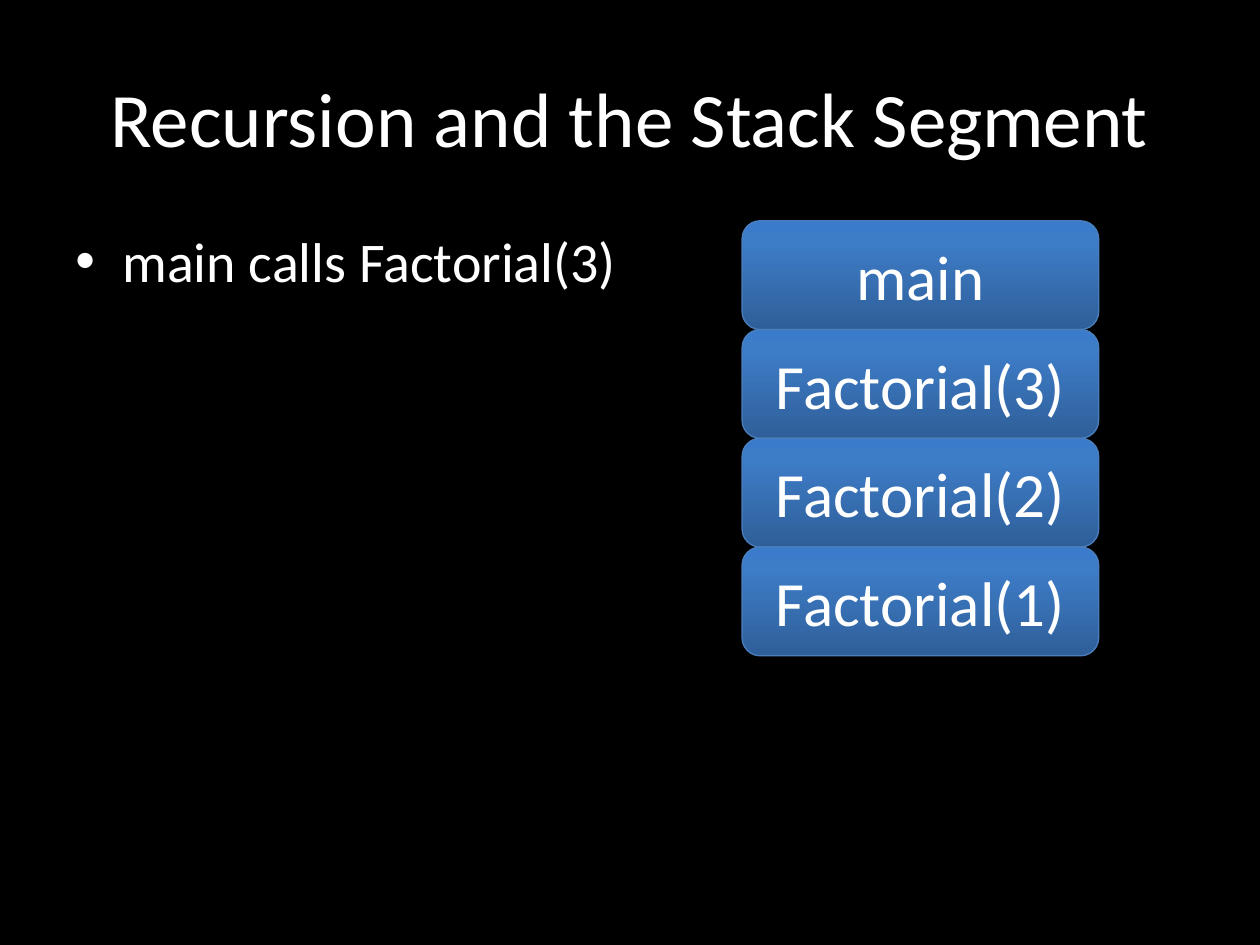
from copy import deepcopy
from dataclasses import dataclass

from lxml.etree import SubElement
from pptx import Presentation
from pptx.dml.color import RGBColor as Rgb
from pptx.enum.shapes import MSO_SHAPE as Shape
from pptx.enum.text import MSO_ANCHOR as Anchor, PP_ALIGN as Align
from pptx.oxml.ns import qn
from pptx.util import Cm, Pt


@dataclass(frozen=True)
class Theme:
    """Colours, font and type sizes of the slide."""
    background: Rgb = Rgb(0x00, 0x00, 0x00)
    text: Rgb = Rgb(0xFF, 0xFF, 0xFF)
    outline: Rgb = Rgb(0x4B, 0x7E, 0xBC)
    gradient: tuple = (
        (0, Rgb(0x2F, 0x5F, 0x99)),
        (0.8, Rgb(0x3D, 0x7C, 0xC7)),
        (1, Rgb(0x3A, 0x7C, 0xCB)),
    )
    font: str = "Calibri"
    title_size: int = 44
    body_size: int = 32
    frame_size: int = 36


THEME = Theme()


def write(holder, text, *, size, align=Align.LEFT, anchor=Anchor.TOP, bullet=None):
    """Put one formatted paragraph into a shape."""
    frame = holder.text_frame
    frame.word_wrap = True
    frame.vertical_anchor = anchor
    paragraph = frame.paragraphs[0]
    paragraph.text = text
    paragraph.alignment = align
    if bullet:
        properties = paragraph._p.get_or_add_pPr()
        indent = Cm(0.95)
        properties.set("marL", str(indent))
        properties.set("indent", str(-indent))
        SubElement(properties, qn("a:buFont"), typeface="Arial")
        SubElement(properties, qn("a:buChar"), char=bullet)
    paragraph.font.name = THEME.font
    paragraph.font.size = Pt(size)
    paragraph.font.color.rgb = THEME.text


def shade(fill):
    """Fill with the theme gradient, running from bottom to top."""
    fill.gradient()
    fill.gradient_angle = 90
    first_stop = fill.gradient_stops[0]._gs
    first_stop.addnext(deepcopy(first_stop))
    for stop, (position, color) in zip(fill.gradient_stops, THEME.gradient):
        stop.position = position
        stop.color.rgb = color


def place_title(slide, left, top, width, height, text):
    """Move and format the title placeholder."""
    title = slide.shapes.title
    title.left, title.top, title.width, title.height = left, top, width, height
    write(title, text, size=THEME.title_size, align=Align.CENTER, anchor=Anchor.MIDDLE)


def place_steps(slide, left, top, width, height, text):
    """Place the bulleted description of the calls."""
    steps = slide.shapes.add_textbox(left, top, width, height)
    write(steps, text, size=THEME.body_size, bullet="•")


def place_stack(slide, left, top, width, height, calls):
    """Divide the box into equal stack frames, one for each call."""
    frame_height = height // len(calls)
    for row, call in enumerate(calls):
        stack_frame = slide.shapes.add_shape(
            Shape.ROUNDED_RECTANGLE, left, top + row * frame_height, width, frame_height
        )
        stack_frame.shadow.inherit = False
        shade(stack_frame.fill)
        stack_frame.line.color.rgb = THEME.outline
        stack_frame.line.width = Pt(0.75)
        write(stack_frame, call, size=THEME.frame_size,
              align=Align.CENTER, anchor=Anchor.MIDDLE)


def main():
    """Build and save the slide."""
    deck = Presentation()
    deck.slide_width, deck.slide_height = Cm(25.4), Cm(19.05)
    slide = deck.slides.add_slide(deck.slide_layouts.get_by_name("Title Only"))
    slide.background.fill.solid()
    slide.background.fill.fore_color.rgb = THEME.background

    margin, content_top, content_width = Cm(1.27), Cm(4.45), Cm(22.86)
    place_title(slide, margin, Cm(0.76), content_width, Cm(3.18),
                "Recursion and the Stack Segment")
    place_steps(slide, margin, content_top, content_width, Cm(12.57),
                "main calls Factorial(3)")
    place_stack(slide, Cm(14.96), content_top, Cm(7.19), Cm(8.77),
                ["main", *(f"Factorial({n})" for n in (3, 2, 1))])
    deck.save("out.pptx")


if __name__ == "__main__":
    main()
